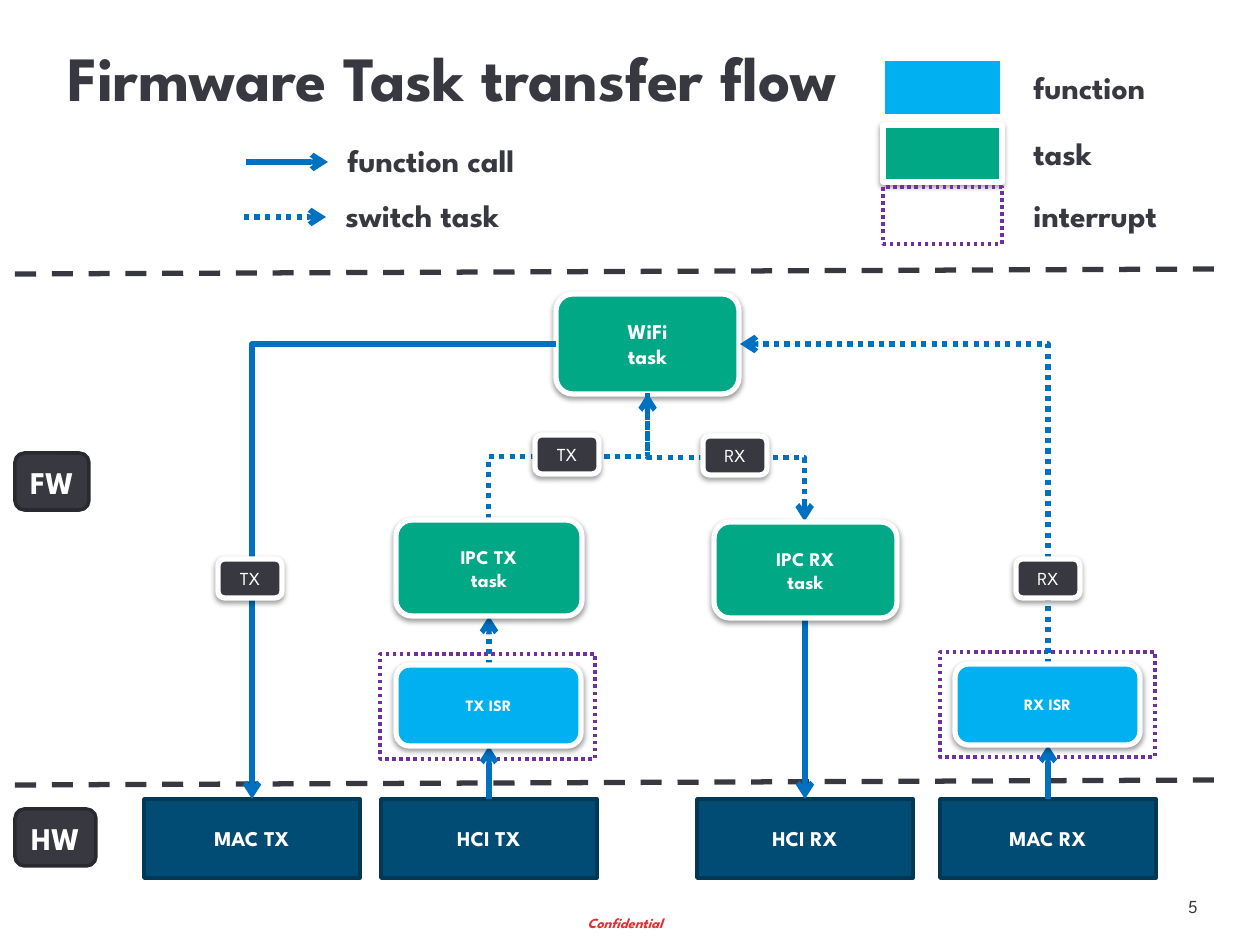
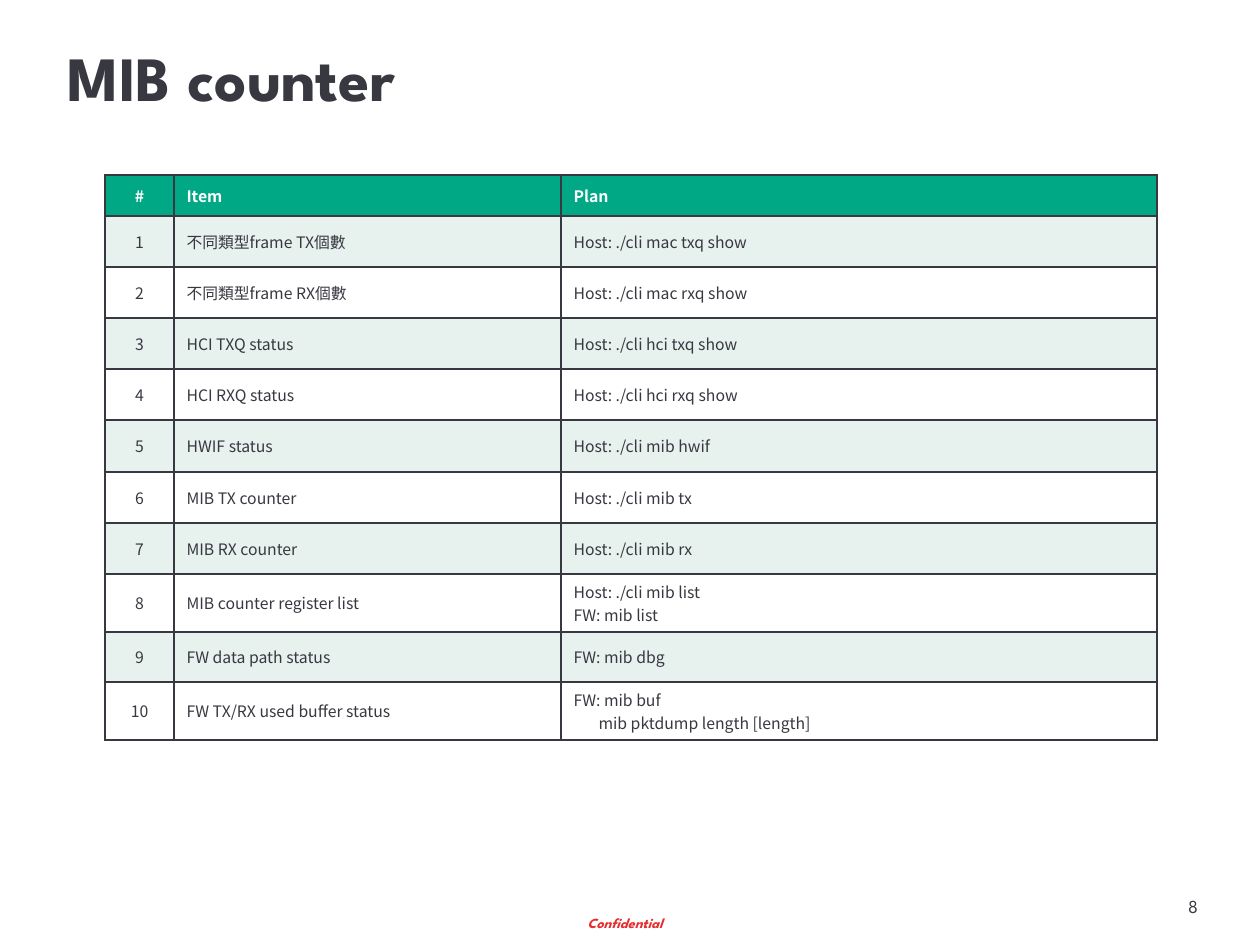
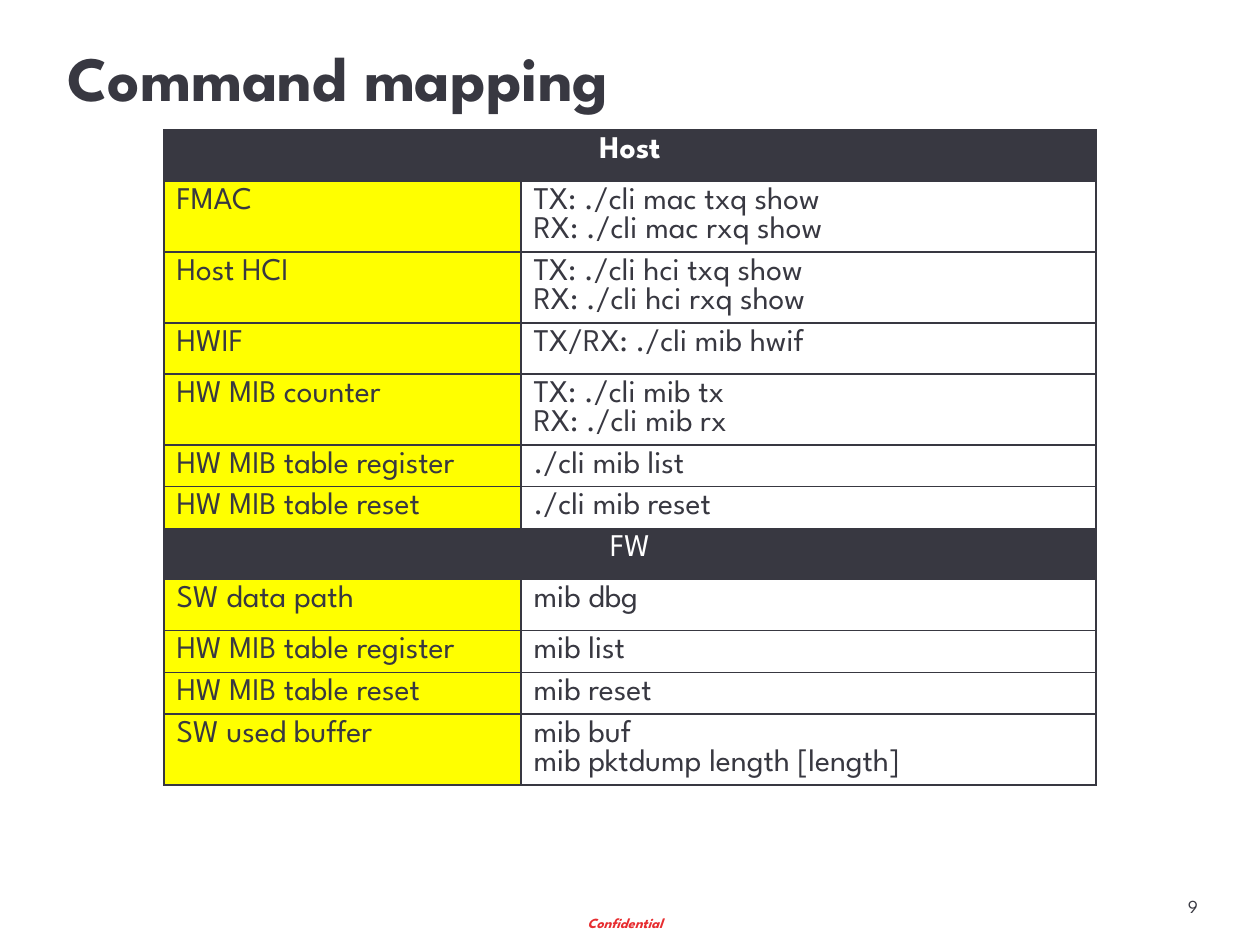
from lxml.etree import SubElement
from pptx import Presentation
from pptx.dml.color import RGBColor
from pptx.enum.dml import MSO_LINE
from pptx.enum.shapes import MSO_CONNECTOR, MSO_SHAPE
from pptx.enum.text import MSO_ANCHOR, PP_ALIGN
from pptx.oxml.ns import qn
from pptx.util import Emu, Pt

SANS, CJK = "League Spartan", "Noto Sans CJK SC"
INK, WHITE, GREEN, SKY = "383841", "FFFFFF", "00A886", "00B0F0"
NAVY, BLUE, PLUM, RED = "004C74", "0070C0", "7030A0", "E72D30"
PALE, GOLD = "E7F1ED", "FFFF00"
DOT, DASH = MSO_LINE.ROUND_DOT, MSO_LINE.DASH


def px(n):
    return Emu(round(n * 914400 / 126))


def tint(code):
    return RGBColor.from_string(code)


def paint(fill, code):
    if code:
        fill.solid()
        fill.fore_color.rgb = tint(code)
    else:
        fill.background()


def write(frame, lines, size, color=INK, bold=False, slant=False,
          align=PP_ALIGN.LEFT, face=SANS, pitch=None):
    for i, line in enumerate(lines):
        para = frame.paragraphs[0] if i == 0 else frame.add_paragraph()
        para.alignment = align
        if pitch:
            para.line_spacing = Pt(pitch)
        run = para.add_run()
        run.text = line
        font = run.font
        font.name, font.size, font.bold, font.italic = face, Pt(size), bold, slant
        font.color.rgb = tint(color)
        SubElement(run._r.get_or_add_rPr(), qn("a:ea"), typeface=face)


def label(slide, box, text, size, wrap=False, **look):
    frame = slide.shapes.add_textbox(*map(px, box)).text_frame
    frame.word_wrap = wrap
    frame.vertical_anchor = MSO_ANCHOR.MIDDLE
    write(frame, [text], size, **look)


def stroke(line, color, width, dash=None):
    line.color.rgb = tint(color)
    line.width = Pt(width)
    if dash:
        line.dash_style = dash


def block(slide, box, fill, edge, width, lines=(), size=12, bold=True,
          kind=MSO_SHAPE.RECTANGLE, dash=None, wrap=True):
    shape = slide.shapes.add_shape(kind, *map(px, box))
    shape.shadow.inherit = False
    paint(shape.fill, fill)
    stroke(shape.line, edge, width, dash)
    frame = shape.text_frame
    frame.word_wrap = wrap
    frame.vertical_anchor = MSO_ANCHOR.MIDDLE
    write(frame, lines, size, WHITE, bold, align=PP_ALIGN.CENTER)
    return shape


def raised(slide, box, fill, lines=(), size=12, bold=True,
           kind=MSO_SHAPE.ROUNDED_RECTANGLE):
    shape = block(slide, box, fill, WHITE, 3, lines, size, bold, kind)
    glow = shape.element.spPr.find(qn("a:effectLst"))
    shade = SubElement(glow, qn("a:outerShdw"), blurRad=str(Pt(3.1)),
                       dist=str(Pt(1.6)), dir="5400000", rotWithShape="0")
    hue = SubElement(shade, qn("a:srgbClr"), val="000000")
    SubElement(hue, qn("a:alpha"), val="38000")


def badge(slide, box, text):
    block(slide, box, INK, "292930", 2, [text], 18,
          kind=MSO_SHAPE.ROUNDED_RECTANGLE, wrap=False)


def frame(slide, box):
    block(slide, box, None, PLUM, 2, dash=DOT)


def link(slide, ends, color=BLUE, dash=None, head=True,
         kind=MSO_CONNECTOR.STRAIGHT):
    wire = slide.shapes.add_connector(kind, *map(px, ends))
    stroke(wire.line, color, 3, dash)
    props = wire.element.spPr
    if head:
        SubElement(props.find(qn("a:ln")), qn("a:tailEnd"), type="arrow")
    SubElement(props, qn("a:effectLst"))
    return wire


def elbow(slide, ends, bends, turn, flips, dash=None):
    ax, ay, bx, by = ends
    wide, high = abs(bx - ax), abs(by - ay)
    if turn % 180:
        wide, high = high, wide
    left, top = (ax + bx - wide) // 2, (ay + by - high) // 2
    wire = link(slide, (left, top, left + wide, top + high), dash=dash,
                kind=MSO_CONNECTOR.ELBOW)
    props = wire.element.spPr
    form = props.find(qn("a:xfrm"))
    form.set("rot", str(turn * 60000))
    for flip in flips:
        form.set("flip" + flip, "1")
    props.find(qn("a:prstGeom")).set("prst", f"bentConnector{bends}")


def page(deck, title, number):
    slide = deck.slides.add_slide(deck.slide_layouts[6])
    label(slide, (575, 908, 108, 30), "Confidential", 8, True,
          color=RED, bold=True, slant=True)
    label(slide, (1169, 888, 48, 36), number, 10.5, align=PP_ALIGN.CENTER)
    label(slide, (55, 27, 1152, 98), title, 36, True, bold=True)
    return slide


def legend(slide, x, y):
    rows = [("function", 149, 0), ("task", 88, 66), ("interrupt", 151, 128)]
    for name, wide, dy in rows:
        box = (x, y + dy, 119, 57)
        if name == "function":
            block(slide, box, SKY, WHITE, 2)
        elif name == "task":
            raised(slide, box, GREEN, kind=MSO_SHAPE.RECTANGLE)
        else:
            frame(slide, box)
        label(slide, (x + 138, box[1] + 3, wide, 50), name, 18, bold=True)


def keys(slide, x, y):
    rows = [("function call", 214, None), ("switch task", 193, DOT)]
    for i, (name, wide, dash) in enumerate(rows):
        left, mid = x - 2 * i, y + 55 * i
        link(slide, (left, mid, left + 82, mid), dash=dash)
        label(slide, (left + 89, mid - 27, wide, 50), name, 18, bold=True)


def hardware(slide, x, y):
    badge(slide, (x, y + 10, 81, 57), "HW")
    ports = [("MAC TX", 129), ("HCI TX", 366), ("HCI RX", 682), ("MAC RX", 925)]
    for name, dx in ports:
        block(slide, (x + dx, y, 216, 79), NAVY, "003856", 2, [name])


def firmware(slide, x, y):
    def ends(ax, ay, bx, by):
        return x + ax, y + ay, x + bx, y + by

    for dy in (-1, 510):
        link(slide, ends(0, dy, 1210, dy - 5), INK, DASH, False)
    badge(slide, (x, y + 178, 74, 57), "FW")
    raised(slide, (x + 541, y + 19, 183, 100), GREEN, ["WiFi", "task"])
    for dx, dy in ((365, 379), (925, 377)):
        frame(slide, (x + dx, y + dy, 215, 105))

    link(slide, ends(474, 390, 474, 341), dash=DOT)
    for way in ((474, 524, 474, 471), (1033, 524, 1033, 470), (790, 342, 790, 524)):
        link(slide, ends(*way))
    elbow(slide, ends(1033, 389, 725, 69), 2, 270, "V", DOT)
    elbow(slide, ends(541, 69, 237, 524), 2, 180, "V")
    elbow(slide, ends(633, 119, 790, 247), 3, 270, "H", DOT)
    elbow(slide, ends(474, 245, 633, 119), 3, 90, "HV", DOT)

    tasks = [("IPC TX", 381, 245, 186), ("IPC RX", 699, 247, 183)]
    for name, dx, dy, wide in tasks:
        raised(slide, (x + dx, y + dy, wide, 96), GREEN, [name, "task"], 11)
    for name, dx, dy in (("TX ISR", 381, 390), ("RX ISR", 940, 389)):
        raised(slide, (x + dx, y + dy, 185, 81), SKY, [name], 9)
    tags = [("TX", 203, 284), ("RX", 1001, 284), ("TX", 520, 160), ("RX", 688, 161)]
    for name, dx, dy in tags:
        raised(slide, (x + dx, y + dy, 64, 39), INK, [name], 10.5, False)


def grid(slide, x, y, cols, rows):
    box = (x, y, sum(cols), sum(rows))
    table = slide.shapes.add_table(len(rows), len(cols), *map(px, box)).table
    table.horz_banding = False
    for col, wide in zip(table.columns, cols):
        col.width = px(wide)
    for row, high in zip(table.rows, rows):
        row.height = px(high)
    return table


def dress(cell, fill):
    props = cell._tc.get_or_add_tcPr()
    for side in "LRTB":
        edge = SubElement(props, qn("a:ln" + side), w=str(Pt(1)))
        SubElement(SubElement(edge, qn("a:solidFill")), qn("a:srgbClr"), val=INK)
    paint(cell.fill, fill)


def counter(slide, x, y):
    data = [
        ("Item", "Plan"),
        ("不同類型frame TX個數", "Host: ./cli mac txq show"),
        ("不同類型frame RX個數", "Host: ./cli mac rxq show"),
        ("HCI TXQ status", "Host: ./cli hci txq show"),
        ("HCI RXQ status", "Host: ./cli hci rxq show"),
        ("HWIF status", "Host: ./cli mib hwif"),
        ("MIB TX counter", "Host: ./cli mib tx"),
        ("MIB RX counter", "Host: ./cli mib rx"),
        ("MIB counter register list", "Host: ./cli mib list\nFW: mib list"),
        ("FW data path status", "FW: mib dbg"),
        ("FW TX/RX used buffer status", "FW: mib buf\nmib pktdump length [length]"),
    ]
    rows = [41] + [51] * 4 + [52] + [51] * 2 + [58, 50, 58]
    table = grid(slide, x, y, (69, 387, 596), rows)
    for r, pair in enumerate(data):
        fill = GREEN if r == 0 else PALE if r % 2 else WHITE
        for c, text in enumerate((str(r or "#"),) + pair):
            cell = table.cell(r, c)
            dress(cell, fill)
            cell.vertical_anchor = MSO_ANCHOR.MIDDLE
            write(cell.text_frame, text.split("\n"), 9, INK if r else WHITE,
                  r == 0, align=PP_ALIGN.LEFT if c else PP_ALIGN.CENTER, face=CJK)
    last = table.cell(len(data) - 1, 2).text_frame.paragraphs[1]
    last._p.get_or_add_pPr().set("marL", str(px(25)))


def mapping(slide, x, y):
    data = [
        ("Host", "", 51),
        ("FMAC", "TX: ./cli mac txq show\nRX: ./cli mac rxq show", 71),
        ("Host HCI", "TX: ./cli hci txq show\nRX: ./cli hci rxq show", 71),
        ("HWIF", "TX/RX: ./cli mib hwif", 51),
        ("HW MIB counter", "TX: ./cli mib tx\nRX: ./cli mib rx", 71),
        ("HW MIB table register", "./cli mib list", 41),
        ("HW MIB table reset", "./cli mib reset", 42),
        ("FW", "", 51),
        ("SW data path", "mib dbg", 51),
        ("HW MIB table register", "mib list", 42),
        ("HW MIB table reset", "mib reset", 41),
        ("SW used buffer", "mib buf\nmib pktdump length [length]", 71),
    ]
    table = grid(slide, x, y, (357, 575), [row[2] for row in data])
    for r, (name, text, _) in enumerate(data):
        left, right = table.cell(r, 0), table.cell(r, 1)
        dress(left, GOLD if text else INK)
        dress(right, WHITE if text else INK)
        if text:
            write(left.text_frame, [name], 18, pitch=16.5)
            write(right.text_frame, text.split("\n"), 18, pitch=16.5)
        else:
            left.merge(right)
            write(left.text_frame, [name], 18, WHITE, r == 0,
                  align=PP_ALIGN.CENTER, pitch=16.5)


def main():
    deck = Presentation()
    deck.slide_width, deck.slide_height = px(1260), px(945)
    flow = page(deck, "Firmware Task transfer flow", "5")
    legend(flow, 883, 59)
    keys(flow, 246, 162)
    hardware(flow, 15, 799)
    firmware(flow, 15, 275)
    counter(page(deck, "MIB counter", "8"), 105, 175)
    mapping(page(deck, "Command mapping", "9"), 164, 130)
    deck.save("out.pptx")


if __name__ == "__main__":
    main()
